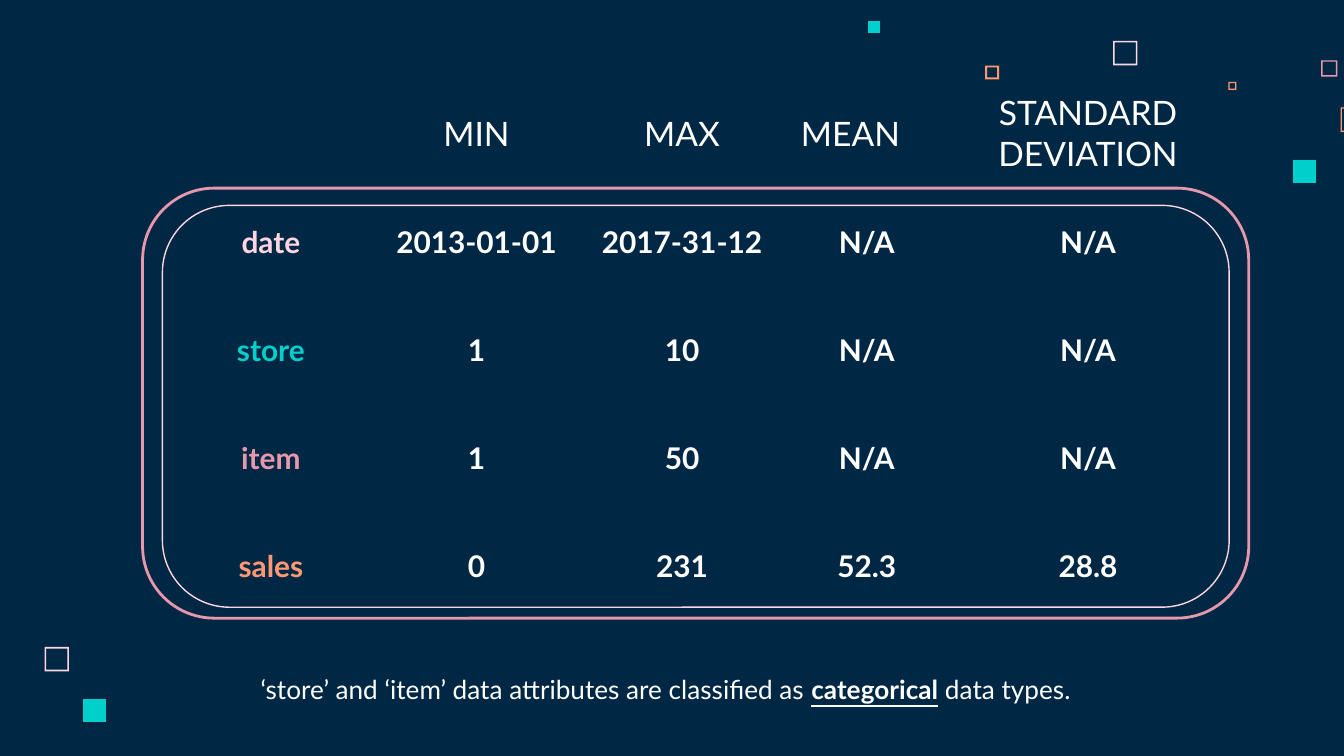
import pptx
import pptx.dml.color
import pptx.enum.shapes
import pptx.enum.text
import pptx.util

Pt = pptx.util.Pt
RGBColor = pptx.dml.color.RGBColor
ALIGN = pptx.enum.text.PP_ALIGN
ANCHOR = pptx.enum.text.MSO_ANCHOR

NAVY = RGBColor(0x00, 0x28, 0x45)
WHITE = RGBColor(0xFF, 0xFF, 0xFF)
BLUSH = RGBColor(0xFF, 0xD6, 0xE1)
PINK = RGBColor(0xE8, 0x98, 0xAC)
ORANGE = RGBColor(0xFF, 0x99, 0x73)
TEAL = RGBColor(0x00, 0xCF, 0xCC)

FONT = "Lato"
INSET = Pt(7.2)
NO_STYLE_NO_GRID = "{2D5ABB26-0587-4C30-8999-92F81FD0307C}"

# left, top, side, border (0 for a solid square), colour
SQUARES = [
    (596.3, 21.9, 13.1, 0.9, BLUSH),
    (707.8, 32.4, 8.6, 0.7, PINK),
    (658.1, 43.9, 4.3, 0.7, ORANGE),
    (718.2, 57.6, 13.1, 0.7, ORANGE),
    (692.6, 85.7, 12.4, 0, TEAL),
    (527.8, 35.1, 7.4, 1, ORANGE),
    (465.1, 11.4, 6.4, 0, TEAL),
    (23.9, 346.6, 13.1, 0.9, BLUSH),
    (44.5, 374.5, 12.3, 0, TEAL),
]

HEADERS = ["", "MIN", "MAX", "MEAN", "STANDARD DEVIATION"]
ROWS = [
    ("date", BLUSH, ["2013-01-01", "2017-31-12", "N/A", "N/A"]),
    ("store", TEAL, ["1", "10", "N/A", "N/A"]),
    ("item", PINK, ["1", "50", "N/A", "N/A"]),
    ("sales", ORANGE, ["0", "231", "52.3", "28.8"]),
]
COLUMN_WIDTHS = [113, 107.3, 113, 85, 63.4, 88.6]
ROW_HEIGHTS = [59] + [57.8] * len(ROWS)


def corners(left, top, side):
    right, bottom = left + side, top + side
    return [(Pt(x), Pt(y)) for x, y in
            [(left, top), (left, bottom), (right, bottom), (right, top)]]


def add_square(slide, left, top, side, border, colour):
    """Draw a solid square, or a square ring when it has a border."""
    outer = corners(left, top, side)
    builder = slide.shapes.build_freeform(*outer[0])
    builder.add_line_segments(outer[1:], close=True)
    if border:
        inner = corners(left + border, top + border, side - 2 * border)[::-1]
        builder.move_to(*inner[0])
        builder.add_line_segments(inner[1:], close=True)
    shape = builder.convert_to_shape()
    shape.shadow.inherit = False
    shape.fill.solid()
    shape.fill.fore_color.rgb = colour
    shape.line.fill.background()


def add_rounded_outline(slide, left, top, width, height, colour, weight):
    shape = slide.shapes.add_shape(
        pptx.enum.shapes.MSO_SHAPE.ROUNDED_RECTANGLE,
        Pt(left), Pt(top), Pt(width), Pt(height))
    shape.adjustments[0] = 0.167
    shape.shadow.inherit = False
    shape.fill.background()
    shape.line.color.rgb = colour
    shape.line.width = Pt(weight)


def set_font(font, size, colour, bold=False):
    font.name = FONT
    font.size = Pt(size)
    font.color.rgb = colour
    font.bold = bold


def set_insets(target):
    target.margin_left = target.margin_right = INSET
    target.margin_top = target.margin_bottom = INSET


def fill_cell(cell, text, size, colour, bold, alignment=ALIGN.CENTER):
    cell.text = text
    cell.vertical_anchor = ANCHOR.MIDDLE
    set_insets(cell)
    paragraph = cell.text_frame.paragraphs[0]
    paragraph.alignment = alignment
    set_font(paragraph.font, size, colour, bold)


def add_statistics_table(slide):
    frame = slide.shapes.add_table(
        len(ROW_HEIGHTS), len(COLUMN_WIDTHS), Pt(88.6), Pt(41.8),
        Pt(sum(COLUMN_WIDTHS)), Pt(sum(ROW_HEIGHTS)))
    table = frame.table
    table.first_row = table.horz_banding = False
    table._tbl.tblPr[0].text = NO_STYLE_NO_GRID
    for column, width in zip(table.columns, COLUMN_WIDTHS):
        column.width = Pt(width)
    for row_index, height in enumerate(ROW_HEIGHTS):
        table.rows[row_index].height = Pt(height)
        table.cell(row_index, 4).merge(table.cell(row_index, 5))
    for cell in table.iter_cells():
        cell.fill.background()

    for column_index, header in enumerate(HEADERS):
        alignment = ALIGN.LEFT if header == "MEAN" else ALIGN.CENTER
        fill_cell(table.cell(0, column_index), header, 18, WHITE, False, alignment)
    for row_index, (attribute, colour, values) in enumerate(ROWS, start=1):
        fill_cell(table.cell(row_index, 0), attribute, 16, colour, True)
        for column_index, value in enumerate(values, start=1):
            fill_cell(table.cell(row_index, column_index), value, 16, WHITE, True)


def add_note(slide):
    text_frame = slide.shapes.add_textbox(
        Pt(132.5), Pt(353.5), Pt(519.8), Pt(31.7)).text_frame
    text_frame.word_wrap = True
    set_insets(text_frame)
    paragraph = text_frame.paragraphs[0]
    for text, emphasis in [
        ("‘store’ and ‘item’ data attributes are classified as ", False),
        ("categorical", True),
        (" data types.", False),
    ]:
        run = paragraph.add_run()
        run.text = text
        set_font(run.font, 14, WHITE, emphasis)
        run.font.underline = emphasis


def main():
    presentation = pptx.Presentation()
    presentation.slide_width = Pt(720)
    presentation.slide_height = Pt(405)
    slide = presentation.slides.add_slide(presentation.slide_layouts[6])
    slide.background.fill.solid()
    slide.background.fill.fore_color.rgb = NAVY

    for square in SQUARES:
        add_square(slide, *square)
    add_rounded_outline(slide, 76.4, 100.8, 592.6, 230.4, PINK, 1.5)
    add_rounded_outline(slide, 87, 110, 571.5, 215.3, BLUSH, 0.75)
    add_statistics_table(slide)
    add_note(slide)
    presentation.save("out.pptx")


if __name__ == "__main__":
    main()
